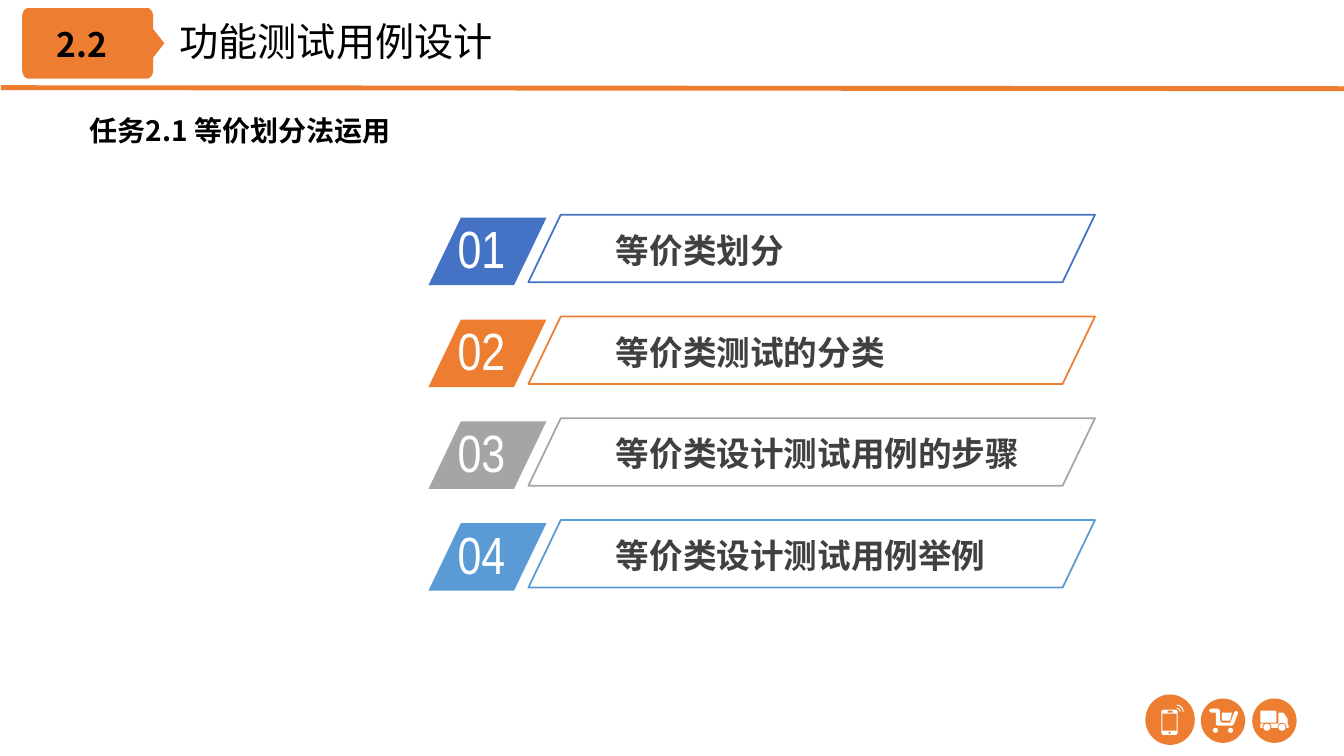
import math
import pptx
import pptx.util
import pptx.dml.color
import pptx.enum.shapes
import pptx.enum.text
from lxml import etree

Inches = pptx.util.Inches
KIND = pptx.enum.shapes.MSO_SHAPE
NS = "http://schemas.openxmlformats.org/drawingml/2006/main"
SANS = "Noto Sans CJK SC"
ORANGE, WHITE = "ED7D31", "FFFFFF"


def color(code):
    """Turn a hex string into a colour."""
    return pptx.dml.color.RGBColor.from_string(code)


def paint(shape, fill=None, line=None, width=1.25):
    """Set the fill and line of a shape."""
    shape.shadow.inherit = False
    if fill:
        shape.fill.solid()
        shape.fill.fore_color.rgb = color(fill)
    else:
        shape.fill.background()
    if line:
        shape.line.color.rgb = color(line)
        shape.line.width = pptx.util.Pt(width)
    else:
        shape.line.fill.background()
    return shape


def block(slide, kind, box, adj=None, **style):
    """Add a painted preset shape."""
    shape = slide.shapes.add_shape(kind, *map(Inches, box))
    if adj is not None:
        shape.adjustments[0] = adj
    return paint(shape, **style)


def poly(slide, x, y, points, fill=WHITE):
    """Add a closed outline whose points are offsets from x, y."""
    dots = [(Inches(x + dx), Inches(y + dy)) for dx, dy in points]
    path = slide.shapes.build_freeform(*dots[0])
    path.add_line_segments(dots[1:], close=True)
    return paint(path.convert_to_shape(), fill=fill)


def arc(x, y, rx, ry, start, end):
    """List points on an arc, with angles in degrees."""
    turns = [math.radians(start + (end - start) * i / 8) for i in range(9)]
    return [(x + rx * math.cos(t), y + ry * math.sin(t)) for t in turns]


def write(slide, text, box, holder=None, size=24, font=SANS, ink="000000",
          bold=False, indent=0, spacing=None):
    """Put formatted text in a box or a placeholder."""
    shape = holder or slide.shapes.add_textbox(0, 0, 0, 0)
    shape.left, shape.top, shape.width, shape.height = map(Inches, box)
    frame = shape.text_frame
    frame.word_wrap = True
    frame.auto_size = pptx.enum.text.MSO_AUTO_SIZE.NONE
    frame.vertical_anchor = pptx.enum.text.MSO_ANCHOR.TOP
    para = frame.paragraphs[0]
    para.alignment = pptx.enum.text.PP_ALIGN.LEFT
    if spacing:
        para.line_spacing = spacing
    if indent:
        para._p.get_or_add_pPr().set("indent", str(Inches(indent)))
    run = para.add_run()
    run.text = text
    run.font.size = pptx.util.Pt(size)
    run.font.name = font
    run.font.bold = bold
    run.font.color.rgb = color(ink)
    east = etree.SubElement(run._r.get_or_add_rPr(), f"{{{NS}}}ea")
    east.set("typeface", font)


def header(slide, x, y, number, title):
    """Draw the section badge, title and rule."""
    rule = slide.shapes.add_connector(
        pptx.enum.shapes.MSO_CONNECTOR.STRAIGHT,
        *map(Inches, (x + 0.01, y + 0.87, x + 13.33, y + 0.88)))
    rule.line.color.rgb = color(ORANGE)
    rule.line.width = pptx.util.Pt(3.5)
    etree.SubElement(rule._element.spPr, f"{{{NS}}}effectLst")
    tag = (arc(0.06, 0.09, 0.06, 0.09, 180, 270)
           + arc(1.24, 0.09, 0.06, 0.09, 270, 360)
           + [(1.3, 0.21), (1.41, 0.35), (1.3, 0.49)]
           + arc(1.24, 0.61, 0.06, 0.09, 0, 90)
           + arc(0.06, 0.61, 0.06, 0.09, 90, 180))
    poly(slide, x + 0.22, y + 0.08, tag, ORANGE)
    write(slide, number, (x + 0.46, y + 0.19, 0.95, 0.5), bold=True)
    write(slide, title, (x + 1.68, y + 0.12, 4.92, 0.57),
          holder=slide.shapes.title, size=28)


def entry(slide, x, y, number, label, tone):
    """Draw one numbered agenda entry."""
    slant = KIND.PARALLELOGRAM
    block(slide, slant, (x, y + 0.03, 1.17, 0.67), 0.48, fill=tone)
    write(slide, number, (x + 0.19, y - 0.03, 1.12, 0.73),
          size=37.4, font="Arial Narrow", ink=WHITE)
    write(slide, label, (x + 1.76, y + 0.1, 4.42, 0.5),
          ink="404040", bold=True)
    block(slide, slant, (x + 0.99, y, 5.62, 0.67), 0.48, line=tone)


def phone(slide, x, y):
    """Draw the phone icon."""
    block(slide, KIND.OVAL, (x, y, 0.49, 0.5), fill=ORANGE)
    block(slide, KIND.ROUNDED_RECTANGLE,
          (x + 0.16, y + 0.15, 0.16, 0.25), 0.12, fill=WHITE)
    for kind, left, top, wide, high in (
            (KIND.RECTANGLE, 0.17, 0.19, 0.14, 0.17),
            (KIND.ROUNDED_RECTANGLE, 0.22, 0.16, 0.05, 0.02),
            (KIND.OVAL, 0.23, 0.37, 0.02, 0.02)):
        block(slide, kind, (x + left, y + top, wide, high), fill=ORANGE)
    for size in (0.04, 0.07):
        inner = size - 0.01
        wave = (arc(0.31, 0.17, size, size, -90, 0)
                + arc(0.31, 0.17, inner, inner, 0, -90))
        poly(slide, x, y, wave)


def cart(slide, x, y):
    """Draw the shopping cart icon."""
    block(slide, KIND.OVAL, (x, y, 0.44, 0.44), fill=ORANGE)
    poly(slide, x, y, [
        (0.08, 0.12), (0.1, 0.1), (0.17, 0.1), (0.19, 0.12), (0.19, 0.22),
        (0.21, 0.24), (0.29, 0.24), (0.3, 0.22), (0.33, 0.14),
        (0.35, 0.12), (0.37, 0.14), (0.33, 0.25), (0.31, 0.27),
        (0.17, 0.27), (0.15, 0.26), (0.15, 0.14), (0.1, 0.14)])
    poly(slide, x, y, [(0.21, 0.14), (0.31, 0.14), (0.29, 0.22), (0.21, 0.22)])
    for left in (0.12, 0.27):
        block(slide, KIND.OVAL, (x + left, y + 0.29, 0.05, 0.05), fill=WHITE)


def truck(slide, x, y):
    """Draw the delivery truck icon."""
    block(slide, KIND.OVAL, (x, y, 0.44, 0.44), fill=ORANGE)
    block(slide, KIND.ROUNDED_RECTANGLE,
          (x + 0.08, y + 0.12, 0.16, 0.12), 0.1, fill=WHITE)
    poly(slide, x, y, [
        (0.08, 0.25), (0.26, 0.25), (0.26, 0.14), (0.31, 0.14),
        (0.35, 0.2), (0.35, 0.25), (0.36, 0.27), (0.36, 0.29), (0.08, 0.29)])
    for left in (0.11, 0.26):
        block(slide, KIND.OVAL,
              (x + left - 0.01, y + 0.24, 0.09, 0.09), fill=ORANGE)
        block(slide, KIND.OVAL, (x + left, y + 0.25, 0.07, 0.07), fill=WHITE)


def main():
    """Build and save the agenda slide."""
    deck = pptx.Presentation()
    deck.slide_width, deck.slide_height = Inches(13.33), Inches(7.5)
    slide = deck.slides.add_slide(deck.slide_layouts[5])
    header(slide, 0, 0, "2.2", "功能测试用例设计")
    write(slide, "任务2.1 等价划分法运用", (0.29, 0.91, 12.7, 0.6),
          size=20, bold=True, indent=0.5, spacing=1.5)
    topics = (("等价类划分", "4472C4"),
              ("等价类测试的分类", ORANGE),
              ("等价类设计测试用例的步骤", "A5A5A5"),
              ("等价类设计测试用例举例", "5B9BD5"))
    for i, (label, tone) in enumerate(topics):
        entry(slide, 4.25, 2.13 + 1.01 * i, f"{i + 1:02}", label, tone)
    phone(slide, 11.36, 6.89)
    cart(slide, 11.91, 6.93)
    truck(slide, 12.42, 6.93)
    deck.save("out.pptx")


if __name__ == "__main__":
    main()
